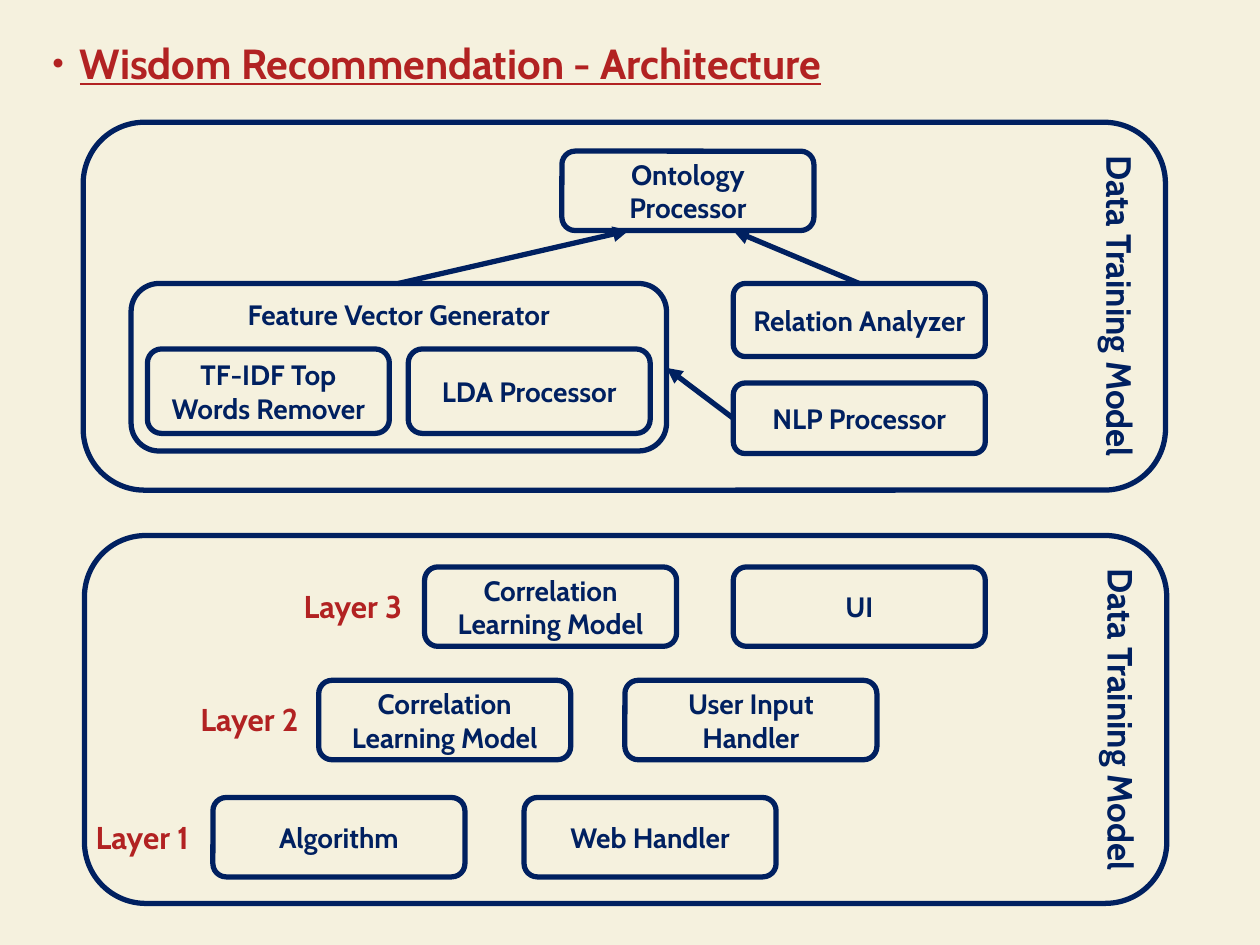
from pptx import Presentation
from pptx.dml.color import RGBColor
from pptx.enum.shapes import MSO_CONNECTOR, MSO_SHAPE
from pptx.enum.text import MSO_ANCHOR, MSO_AUTO_SIZE, PP_ALIGN
from pptx.oxml.ns import qn
from pptx.util import Inches, Pt
from lxml import etree

ROUND_RECT = MSO_SHAPE.ROUNDED_RECTANGLE
STRAIGHT = MSO_CONNECTOR.STRAIGHT
TOP, MIDDLE = MSO_ANCHOR.TOP, MSO_ANCHOR.MIDDLE
CENTER = PP_ALIGN.CENTER
FIT_SHAPE = MSO_AUTO_SIZE.SHAPE_TO_FIT_TEXT

CREAM = RGBColor(0xF5, 0xF1, 0xDE)
NAVY = RGBColor(0x00, 0x20, 0x60)
RED = RGBColor(0xB2, 0x22, 0x22)
FONT, BULLET_FONT = "Cabin", "Noto Sans CJK SC"
LINE_WIDTH = Pt(3)
BOX_W, BOX_H = 2, 0.63


def style_run(r, size, color, bold=True, name=FONT):
    r.font.size = Pt(size)
    r.font.color.rgb = color
    r.font.bold = bold
    r.font.name = name


def add_box(s, text, x, y, w=BOX_W, h=BOX_H, size=16, anchor=MIDDLE):
    sp = s.shapes.add_shape(ROUND_RECT, Inches(x), Inches(y), Inches(w), Inches(h))
    sp.shadow.inherit = False
    sp.fill.background()
    sp.line.color.rgb = NAVY
    sp.line.width = LINE_WIDTH
    tf = sp.text_frame
    tf.word_wrap = True
    tf.vertical_anchor = anchor
    p = tf.paragraphs[0]
    p.text = text
    p.alignment = CENTER
    style_run(p.runs[0], size, NAVY)
    return sp


def add_panel(s, text, x, y):
    sp = add_box(s, text, x, y, 8.59, 2.92, size=20, anchor=TOP)
    sp.text_frame._txBody.bodyPr.set("vert", "vert")


def add_label(s, x, y, w, h):
    sp = s.shapes.add_textbox(Inches(x), Inches(y), Inches(w), Inches(h))
    tf = sp.text_frame
    tf.margin_left = tf.margin_right = tf.margin_top = tf.margin_bottom = 0
    tf.word_wrap = False
    tf.auto_size = FIT_SHAPE
    return tf.paragraphs[0]


def add_title(s, text):
    p = add_label(s, 0.3, 0.3, 6.69, 0.4)
    r = p.add_run()
    r.text = "·"
    style_run(r, 24, RED, bold=False, name=BULLET_FONT)
    ea = etree.SubElement(r.font._element, qn("a:ea"))
    ea.set("typeface", BULLET_FONT)
    r = p.add_run()
    r.text = text
    style_run(r, 24, RED)
    r.font.underline = True


def add_arrow(s, start, end):
    x1, y1, x2, y2 = (Inches(v) for v in start + end)
    line = s.shapes.add_connector(STRAIGHT, x1, y1, x2, y2)
    line.line.color.rgb = NAVY
    line.line.width = LINE_WIDTH
    etree.SubElement(line.line._get_or_add_ln(), qn("a:tailEnd"), type="triangle")
    etree.SubElement(line._element.spPr, qn("a:effectLst"))


def add_training(s):
    add_box(s, "Ontology Processor", 4.46, 1.2)
    add_box(s, "TF-IDF Top Words Remover", 1.17, 2.77, 1.92, 0.67)
    add_box(s, "LDA Processor", 3.24, 2.77, 1.92, 0.67)
    add_box(s, "Relation Analyzer", 5.82, 2.25, h=0.58)
    add_box(s, "Feature Vector Generator", 1.04, 2.25, 4.25, 1.33, anchor=TOP)
    add_box(s, "NLP Processor", 5.82, 3.04, h=0.56)
    add_arrow(s, (5.82, 3.32), (5.29, 2.92))
    add_arrow(s, (6.82, 2.25), (5.82, 1.83))
    add_arrow(s, (3.16, 2.25), (4.99, 1.83))


def add_layers(s):
    # Layer name, label left, row top, then each box with its left edge
    layers = [
        ("Layer 1", 0.76, 6.33, [("Algorithm", 1.69), ("Web Handler", 4.16)]),
        ("Layer 2", 1.59, 5.4,
         [("Correlation Learning Model", 2.53), ("User Input Handler", 4.96)]),
        ("Layer 3", 2.41, 4.5,
         [("Correlation Learning Model", 3.37), ("UI", 5.82)]),
    ]
    for name, label_x, y, boxes in layers:
        for text, x in boxes:
            add_box(s, text, x, y)
        p = add_label(s, label_x, y + 0.16, 0.89, 0.3)
        p.text = name
        style_run(p.runs[0], 18, RED)


def main():
    prs = Presentation()
    prs.slide_width, prs.slide_height = Inches(10), Inches(7.5)
    s = prs.slides.add_slide(prs.slide_layouts[6])
    s.background.fill.solid()
    s.background.fill.fore_color.rgb = CREAM

    add_title(s, "Wisdom Recommendation - Architecture")
    # Upper half: training components
    add_training(s)
    # Frames around both halves
    add_panel(s, "Data Training Model", 0.66, 0.97)
    add_panel(s, "Data Training Model", 0.67, 4.25)
    # Lower half: stepped layers
    add_layers(s)
    prs.save("out.pptx")


main()
